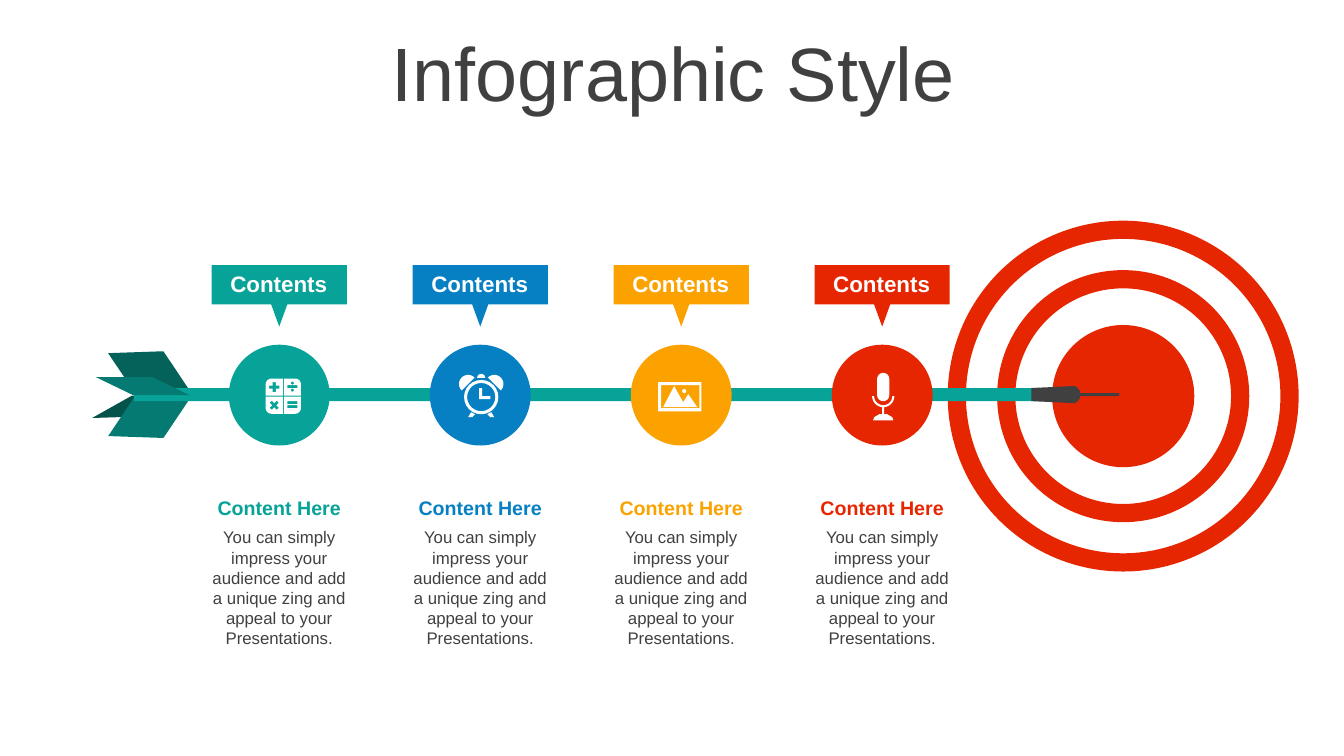
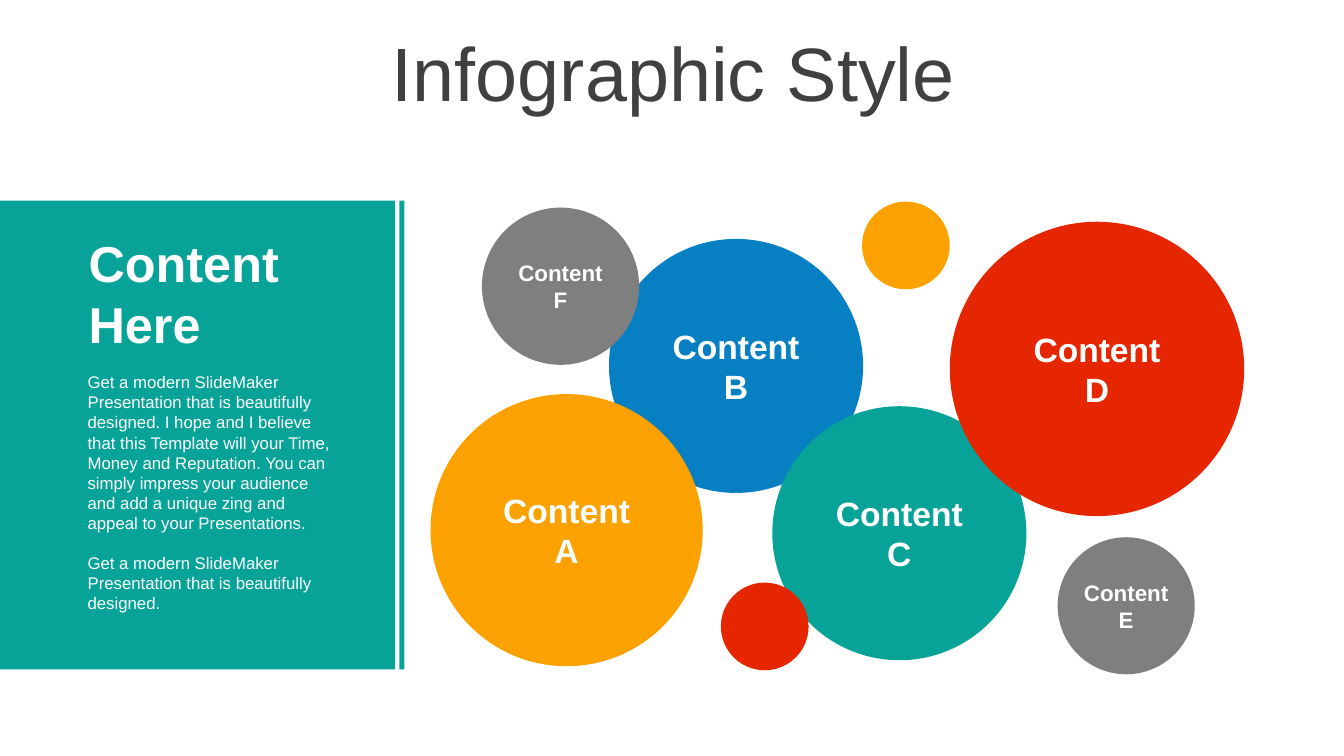
from dataclasses import dataclass
from math import cos, radians, sin, sqrt

from pptx import Presentation
from pptx import util as u
from pptx.dml.color import RGBColor
from pptx.enum import shapes as kinds
from pptx.enum import text as layout
from pptx.shapes.autoshape import Shape
from pptx.slide import Slide

Point = tuple[float, float]
Contour = list[Point]
Box = tuple[float, float, float, float]


@dataclass(frozen=True)
class Theme:
    font: str = "Arial"
    teal: str = "07A398"
    blue: str = "0680C3"
    amber: str = "FBA200"
    red: str = "E62601"
    grey: str = "7F7F7F"
    ink: str = "404040"
    white: str = "FFFFFF"
    feather: str = "057A72"
    feather_dark: str = "04625B"
    feather_shade: str = "04524C"
    title: int = 54
    headline: int = 36
    bubble: int = 24
    label: int = 16
    heading: int = 14
    body: int = 12


THEME = Theme()
SHAPE = kinds.MSO_SHAPE
ALIGN = layout.PP_ALIGN
ANCHOR = layout.MSO_ANCHOR


@dataclass(frozen=True)
class Feather:
    box: Box
    color: str
    skew: float
    rotation: float = 0
    flipped: bool = False


@dataclass(frozen=True)
class Step:
    color: str
    icon: list[Contour]
    icon_shift: Point


@dataclass(frozen=True)
class Bubble:
    left: float
    top: float
    size: float
    color: str
    letter: str = ""
    text_size: int = THEME.bubble


def inches(values: tuple[float, ...]) -> list[u.Length]:
    return [u.Inches(value) for value in values]


def paint(shape: Shape, fill: str, line: str | None = None, width: float = 0) -> Shape:
    shape.shadow.inherit = False
    shape.fill.solid()
    shape.fill.fore_color.rgb = RGBColor.from_string(fill)
    if line:
        shape.line.color.rgb = RGBColor.from_string(line)
        shape.line.width = u.Pt(width)
    else:
        shape.line.fill.background()
    return shape


def write(shape: Shape, paragraphs: list[str], size: int, color: str, bold: bool = False,
          align: ALIGN = ALIGN.CENTER, anchor: ANCHOR = ANCHOR.MIDDLE, gap: float = 0) -> None:
    frame = shape.text_frame
    frame.word_wrap = True
    frame.auto_size = layout.MSO_AUTO_SIZE.NONE
    frame.vertical_anchor = anchor
    frame.text = "\n".join(paragraphs)
    for index, paragraph in enumerate(frame.paragraphs):
        paragraph.alignment = align
        paragraph.font.name = THEME.font
        paragraph.font.size = u.Pt(size)
        paragraph.font.bold = bold
        paragraph.font.color.rgb = RGBColor.from_string(color)
        if index and gap:
            paragraph.space_before = u.Pt(gap)


def add_text(slide: Slide, box: Box, paragraphs: list[str], size: int, color: str, **style) -> None:
    write(slide.shapes.add_textbox(*inches(box)), paragraphs, size, color, **style)


def add_preset(slide: Slide, kind: SHAPE, box: Box, fill: str,
               line: str | None = None, width: float = 0) -> Shape:
    return paint(slide.shapes.add_shape(kind, *inches(box)), fill, line, width)


def add_outline(slide: Slide, contours: list[Contour], fill: str, origin: Point = (0, 0)) -> None:
    """Draw closed contours as one shape; contours inside others become holes."""
    builder = None
    for contour in contours:
        points = [(u.Inches(origin[0] + x), u.Inches(origin[1] + y)) for x, y in contour]
        if builder is None:
            builder = slide.shapes.build_freeform(*points[0])
        else:
            builder.move_to(*points[0])
        builder.add_line_segments(points[1:], close=True)
    paint(builder.convert_to_shape(), fill)


def add_titled_slide(deck: Presentation, title: str) -> Slide:
    slide = deck.slides.add_slide(deck.slide_layouts[5])
    heading = slide.shapes.title
    heading.left, heading.top, heading.width, heading.height = inches((0.35, 0.37, 12.66, 0.79))
    write(heading, [title], THEME.title, THEME.ink)
    heading.text_frame.paragraphs[0].line_spacing = 0.9
    heading.text_frame.paragraphs[0].space_before = u.Pt(10)
    return slide


def arc(x: float, y: float, radius: float, start: float, end: float) -> Contour:
    """Points along a circle, with clockwise angles in degrees from the right."""
    count = 24
    angles = [radians(start + (end - start) * i / count) for i in range(count + 1)]
    return [(x + radius * cos(a), y + radius * sin(a)) for a in angles]


def disc(x: float, y: float, radius: float) -> Contour:
    return arc(x, y, radius, 0, 360)


def rectangle(left: float, top: float, width: float, height: float) -> Contour:
    right, bottom = left + width, top + height
    return [(left, top), (right, top), (right, bottom), (left, bottom)]


def mirrored(contour: Contour) -> Contour:
    return [(-x, y) for x, y in contour]


def calculator_icon() -> list[Contour]:
    corner = [(0.005, 0.005), (0.175, 0.005), *arc(0.115, 0.115, 0.06, 0, 90), (0.005, 0.175)]
    keys = [[(x * sx, y * sy) for x, y in corner] for sx in (-1, 1) for sy in (-1, 1)]
    arm, half = 0.05, 0.015
    plus = [(-half, -arm), (half, -arm), (half, -half), (arm, -half), (arm, half), (half, half),
            (half, arm), (-half, arm), (-half, half), (-arm, half), (-arm, -half), (-half, -half)]
    times = [((x - y) / sqrt(2), (x + y) / sqrt(2)) for x, y in plus]
    return keys + [
        [(x - 0.09, y - 0.09) for x, y in plus],
        [(x - 0.09, y + 0.09) for x, y in times],
        disc(0.09, -0.13, 0.015), rectangle(0.04, -0.11, 0.1, 0.03), disc(0.09, -0.06, 0.015),
        rectangle(0.04, 0.05, 0.1, 0.03), rectangle(0.04, 0.09, 0.1, 0.03),
    ]


def alarm_icon() -> list[Contour]:
    hands = [(-0.02, -0.09), (0.01, -0.09), (0.01, -0.01), (0.09, -0.01), (0.09, 0.02), (-0.02, 0.02)]
    leg = [(0.1, 0.15), (0.13, 0.2), (0.09, 0.2), (0.06, 0.17)]
    bell = arc(0.13, -0.13, 0.09, -135, 45)
    crown = arc(0, -0.19, 0.04, 180, 360)
    return [disc(0, 0, 0.17), disc(0, 0, 0.14), hands, crown,
            leg, mirrored(leg), bell, mirrored(bell)]


def landscape_icon() -> list[Contour]:
    mountains = [(-0.07, -0.09), (0.02, 0.07), (0.07, -0.01), (0.16, 0.12), (-0.18, 0.12)]
    return [rectangle(-0.23, -0.13, 0.43, 0.29), rectangle(-0.2, -0.1, 0.38, 0.23),
            mountains, disc(0.03, -0.04, 0.02)]


def microphone_icon() -> list[Contour]:
    capsule = arc(0, -0.18, 0.06, 180, 360) + arc(0, -0.02, 0.06, 0, 180)
    holder = arc(0, -0.01, 0.11, 0, 180) + arc(0, -0.01, 0.09, 180, 0)
    foot = [(-0.1, 0.23), (-0.09, 0.2), (-0.04, 0.17), (0.04, 0.17), (0.09, 0.2), (0.1, 0.23)]
    return [capsule, holder, rectangle(-0.01, 0.1, 0.02, 0.07), foot]


FEATHERS_BEHIND = [
    Feather((0.91, 3.92, 1.07, 0.21), THEME.feather_shade, 1.92, 358.2),
    Feather((1.08, 3.49, 0.79, 0.39), THEME.feather_dark, 0.62, 358, True),
    Feather((1.08, 3.95, 0.79, 0.39), THEME.feather, 0.62, 2),
]
FEATHER_FRONT = Feather((0.95, 3.74, 0.93, 0.18), THEME.feather, 2.06, flipped=True)
ARROW_TIP = [(10.23, 3.85), (10.66, 3.83), (10.69, 3.85), (10.71, 3.88), (10.71, 3.9),
             (11.1, 3.9), (11.1, 3.93), (10.71, 3.93), (10.71, 3.95), (10.69, 3.98),
             (10.66, 4), (10.23, 3.98)]
TARGET_CENTER = (11.14, 3.93)
TARGET_RINGS = [(3.3, THEME.white), (2.32, THEME.white), (1.23, THEME.red)]

STEPS = [
    Step(THEME.teal, calculator_icon(), (0.04, 0.01)),
    Step(THEME.blue, alarm_icon(), (0.01, 0.02)),
    Step(THEME.amber, landscape_icon(), (0, 0)),
    Step(THEME.red, microphone_icon(), (0.01, 0.02)),
]
FIRST_STEP, LAST_STEP = 2.77, 8.75
AXIS = 3.92
CALLOUT = [(-0.67, 2.63), (0.67, 2.63), (0.67, 3.02), (0.08, 3.02),
           (0, 3.24), (-0.08, 3.02), (-0.67, 3.02)]
STEP_TEXT = "You can simply impress your audience and add a unique zing and appeal to your Presentations."

BUBBLES = [
    Bubble(6.04, 2.37, 2.52, THEME.blue, "B"),
    Bubble(4.27, 3.91, 2.7, THEME.amber, "A"),
    Bubble(7.66, 4.03, 2.52, THEME.teal, "C"),
    Bubble(9.42, 2.2, 2.92, THEME.red, "D"),
    Bubble(10.49, 5.33, 1.36, THEME.grey, "E", THEME.label),
    Bubble(4.78, 2.06, 1.56, THEME.grey, "F", THEME.label),
    Bubble(8.55, 2, 0.87, THEME.amber),
    Bubble(7.15, 5.78, 0.87, THEME.red),
]
PANEL_OPENING = "Get a modern SlideMaker Presentation that is beautifully designed."
PANEL_TEXT = [
    PANEL_OPENING + " I hope and I believe that this Template will your Time, Money and Reputation."
    " You can simply impress your audience and add a unique zing and appeal to your Presentations.",
    PANEL_OPENING,
]


def add_feather(slide: Slide, feather: Feather) -> None:
    vane = add_preset(slide, SHAPE.PARALLELOGRAM, feather.box, feather.color)
    vane.adjustments[0] = feather.skew
    vane.rotation = feather.rotation
    if feather.flipped:
        vane.element.spPr.xfrm.set("flipH", "1")


def add_target_and_arrow(slide: Slide) -> None:
    x, y = TARGET_CENTER
    for size, fill in TARGET_RINGS:
        add_preset(slide, SHAPE.OVAL, (x - size / 2, y - size / 2, size, size), fill, THEME.red, 13)
    for feather in FEATHERS_BEHIND:
        add_feather(slide, feather)
    add_preset(slide, SHAPE.RECTANGLE, (1.33, AXIS - 0.07, 9, 0.13), THEME.teal)
    add_outline(slide, [ARROW_TIP], THEME.ink)
    add_feather(slide, FEATHER_FRONT)


def add_step(slide: Slide, step: Step, x: float) -> None:
    add_preset(slide, SHAPE.OVAL, (x - 0.5, AXIS - 0.5, 1, 1), step.color)
    dx, dy = step.icon_shift
    add_outline(slide, step.icon, THEME.white, (x + dx, AXIS + dy))
    add_outline(slide, [CALLOUT], step.color, (x, 0))
    add_text(slide, (x - 0.67, 2.63, 1.33, 0.37), ["Contents"], THEME.label, THEME.white, bold=True)
    add_text(slide, (x - 0.79, 4.87, 1.58, 0.34), ["Content Here"], THEME.heading, step.color, bold=True)
    add_text(slide, (x - 0.79, 5.18, 1.58, 1.31), [STEP_TEXT], THEME.body, THEME.ink, anchor=ANCHOR.TOP)


def add_bubble(slide: Slide, bubble: Bubble) -> None:
    circle = add_preset(slide, SHAPE.OVAL, (bubble.left, bubble.top, bubble.size, bubble.size), bubble.color)
    if bubble.letter:
        frame = circle.text_frame
        frame.margin_left = frame.margin_right = u.Inches(0)
        write(circle, ["Content", bubble.letter], bubble.text_size, THEME.white, bold=True)


def build_arrow_slide(deck: Presentation) -> None:
    slide = add_titled_slide(deck, "Infographic Style")
    add_target_and_arrow(slide)
    pitch = (LAST_STEP - FIRST_STEP) / (len(STEPS) - 1)
    for index, step in enumerate(STEPS):
        add_step(slide, step, FIRST_STEP + index * pitch)


def build_bubble_slide(deck: Presentation) -> None:
    slide = add_titled_slide(deck, "Infographic Style")
    for left, width in ((0, 3.92), (3.96, 0.05)):
        add_preset(slide, SHAPE.RECTANGLE, (left, 1.99, width, 4.65), THEME.teal)
    for bubble in BUBBLES:
        add_bubble(slide, bubble)
    add_text(slide, (0.78, 2.25, 2.69, 1.31), ["Content Here"], THEME.headline, THEME.white,
             bold=True, align=ALIGN.LEFT)
    add_text(slide, (0.77, 3.64, 2.69, 2.52), PANEL_TEXT, THEME.body, THEME.white,
             align=ALIGN.LEFT, anchor=ANCHOR.TOP, gap=14)


def main() -> None:
    deck = Presentation()
    deck.slide_width, deck.slide_height = inches((13.33, 7.5))
    build_arrow_slide(deck)
    build_bubble_slide(deck)
    deck.save("out.pptx")


if __name__ == "__main__":
    main()
